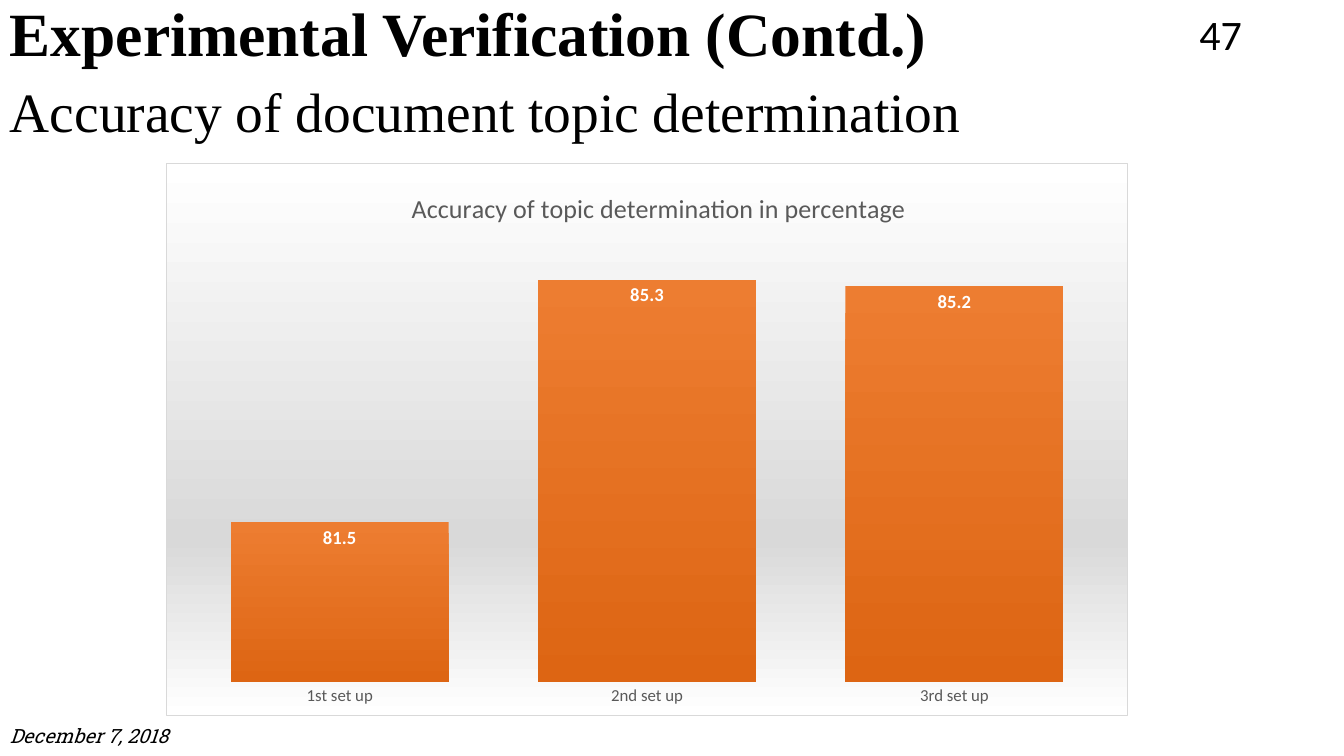
from dataclasses import dataclass

from lxml import etree
from pptx import Presentation
from pptx import util as u
from pptx.chart import data as cd
from pptx.dml import color as col
from pptx.enum import chart as ec, text as et
from pptx.oxml import ns


# Colours and type sizes
@dataclass(frozen=True)
class Theme:
    ink: str = "000000"
    grey: str = "595959"
    edge: str = "D9D9D9"
    white: str = "FFFFFF"
    bar: tuple[str, str] = ("ED7D31", "DD6513")
    serif: str = "Times New Roman"
    slab: str = "Roboto Slab"
    sans: str = "Calibri"
    head: float = 43.9
    sub: float = 39.6
    page: float = 30
    date: float = 14
    title: float = 18.6
    label: float = 13.3
    axis: float = 12


@dataclass(frozen=True)
class Label:
    words: str
    box: tuple[float, float, float, float]
    face: str
    size: float
    bold: bool = False
    slant: bool = False
    right: bool = False
    lead: float = 1.0


T = Theme()
LABELS = [
    Label("Accuracy of document topic determination",
          (0, 59.8, 802.8, 44.6), T.serif, T.sub, lead=0.9),
    Label("December 7, 2018", (0, 511.2, 216, 28.8), T.slab, T.date, slant=True),
    Label("47", (678.2, 9.4, 216, 28.8), T.sans, T.page, right=True),
    Label("Experimental Verification (Contd.)",
          (0, -7.2, 843.1, 67), T.serif, T.head, bold=True, lead=0.9),
]
FRAME = (118.8, 116.6, 686.9, 394.6)
SCORES = {"1st set up": 81.5, "2nd set up": 85.3, "3rd set up": 85.2}
STOPS = ((0, T.white), (68, T.edge), (100, T.white))


def style(font, face: str, size: float, tint: str, bold: bool = False) -> None:
    font.name, font.size, font.bold = face, u.Pt(size), bold
    font.color.rgb = col.RGBColor.from_string(tint)


def write(slide, item: Label) -> None:
    frame = slide.shapes.add_textbox(*map(u.Pt, item.box)).text_frame
    frame.word_wrap = True
    frame.vertical_anchor = et.MSO_ANCHOR.MIDDLE
    para = frame.paragraphs[0]
    para.text = item.words
    para.line_spacing = item.lead
    para.alignment = et.PP_ALIGN.RIGHT if item.right else et.PP_ALIGN.LEFT
    font = para.runs[0].font
    style(font, item.face, item.size, T.ink, item.bold)
    font.italic = item.slant


def place(host, after: str, **spots: object) -> None:
    """Give a title or plot area a manual layout after the named child."""
    for old in host.findall(ns.qn("c:layout")):
        host.remove(old)
    outer = etree.Element(ns.qn("c:layout"))
    inner = etree.SubElement(outer, ns.qn("c:manualLayout"))
    for tag, val in spots.items():
        etree.SubElement(inner, ns.qn(f"c:{tag}")).set("val", str(val))
    if after:
        host.find(ns.qn(after)).addnext(outer)
    else:
        host.insert(0, outer)


def back(root) -> None:
    """Fill and outline the whole chart area."""
    stops = "".join(f'<a:gs pos="{pos * 1000}"><a:srgbClr val="{tint}"/></a:gs>'
                    for pos, tint in STOPS)
    root.find(ns.qn("c:chart")).addnext(etree.fromstring(
        f'<c:spPr {ns.nsdecls("c", "a")}><a:gradFill><a:gsLst>{stops}</a:gsLst>'
        f'<a:lin ang="5400000" scaled="0"/></a:gradFill>'
        f'<a:ln w="{u.Pt(0.75)}"><a:solidFill><a:srgbClr val="{T.edge}"/>'
        f'</a:solidFill></a:ln></c:spPr>'))


def plot(slide) -> None:
    data = cd.CategoryChartData()
    data.categories = list(SCORES)
    data.add_series("Series 1", list(SCORES.values()))
    chart = slide.shapes.add_chart(ec.XL_CHART_TYPE.COLUMN_CLUSTERED,
                                   *map(u.Pt, FRAME), data).chart
    style(chart.font, T.sans, 10, T.ink)
    chart.has_legend = False
    back(chart.element)

    # Title
    para = chart.chart_title.text_frame.paragraphs[0]
    para.text = "Accuracy of topic determination in percentage"
    style(para.runs[0].font, T.sans, T.title, T.grey)
    root = chart.element.find(ns.qn("c:chart"))
    place(root.find(ns.qn("c:title")), "c:tx",
          xMode="edge", yMode="edge", x=0.25, y=0.04)
    place(root.find(ns.qn("c:plotArea")), "", layoutTarget="inner",
          xMode="edge", yMode="edge", x=0.02, y=0.13, w=0.96, h=0.81)

    # Axes
    cat, val = chart.category_axis, chart.value_axis
    cat.major_tick_mark = ec.XL_TICK_MARK.NONE
    cat.format.line.fill.background()
    style(cat.tick_labels.font, T.sans, T.axis, T.grey)
    val.minimum_scale, val.maximum_scale = 79, 86
    val.has_major_gridlines = False
    val.visible = False

    # Bars and their labels
    bars = chart.plots[0]
    bars.gap_width = 41
    bars.vary_by_categories = False
    fill = bars.series[0].format.fill
    fill.gradient()
    fill.gradient_angle = 270
    for stop, tint in zip(fill.gradient_stops, T.bar):
        stop.color.rgb = col.RGBColor.from_string(tint)
    tags = bars.series[0].data_labels
    tags.show_value = True
    tags.position = ec.XL_LABEL_POSITION.INSIDE_END
    style(tags.font, T.sans, T.label, T.white, True)


def main() -> None:
    deck = Presentation()
    deck.slide_width, deck.slide_height = u.Pt(960), u.Pt(540)
    slide = deck.slides.add_slide(deck.slide_layouts[6])
    *under, top = LABELS
    for item in under:
        write(slide, item)
    plot(slide)
    write(slide, top)
    deck.save("out.pptx")


if __name__ == "__main__":
    main()
